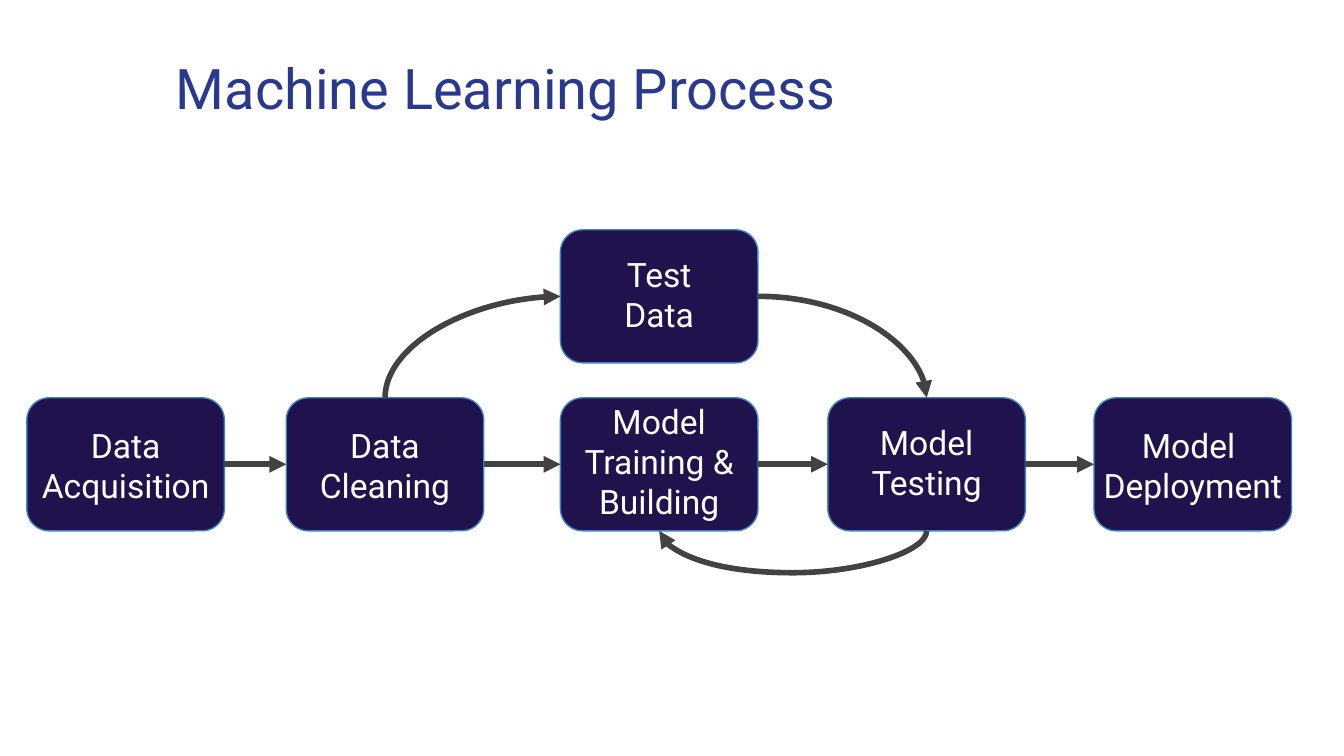
"""Build a slide that shows the machine learning process as a flow of boxes."""
from dataclasses import dataclass
from itertools import pairwise

from lxml.etree import SubElement
from pptx import Presentation
from pptx.dml.color import RGBColor
from pptx.enum.shapes import MSO_CONNECTOR, MSO_SHAPE
from pptx.enum.text import PP_ALIGN
from pptx.oxml.ns import qn
from pptx.shapes.autoshape import Shape
from pptx.shapes.connector import Connector
from pptx.util import Emu, Inches, Pt

NAVY = RGBColor(0x20, 0x12, 0x4D)
BLUE = RGBColor(0x3D, 0x85, 0xC6)
INDIGO = RGBColor(0x2A, 0x39, 0x90)
GRAY = RGBColor(0x42, 0x42, 0x42)
WHITE = RGBColor(0xFF, 0xFF, 0xFF)
FONT = "Roboto"

COLS = (0.2, 2.13, 4.17, 6.16, 8.14)
ROWS = (1.71, 2.96)
WIDE, HIGH = 1.47, 0.99
TOP, LEFT, BOTTOM, RIGHT = range(4)
THIN = Emu(600)


@dataclass(frozen=True)
class Step:
    col: int
    row: int
    lines: tuple[str, ...]
    drop: float = 0.1
    grow: float = 0

    def site(self, side: int) -> tuple[float, float]:
        """Return the middle of one side of the box."""
        dx, dy = ((0.5, 0), (0, 0.5), (0.5, 1), (1, 0.5))[side]
        return COLS[self.col] + dx * WIDE, ROWS[self.row] + dy * HIGH


@dataclass(frozen=True)
class Bend:
    start: tuple[float, float]
    end: tuple[float, float]
    turn: int
    kind: str = "curvedConnector2"
    bulge: float = 0


FLOW = (
    Step(0, 1, ("Data", "Acquisition ")),
    Step(1, 1, ("Data", "Cleaning")),
    Step(2, 1, ("Model", "Training &", "Building"), -0.08),
    Step(3, 1, ("Model", "Testing"), 0.08),
    Step(4, 1, ("Model ", "Deployment"), 0.1, 0.05),
)
TEST = Step(2, 0, ("Test", "Data"), 0.08)
STEPS = (*FLOW, TEST)
BENDS = (
    Bend(FLOW[3].site(BOTTOM), FLOW[2].site(BOTTOM), 90, "curvedConnector3", 396.88),
    Bend(FLOW[1].site(TOP), TEST.site(LEFT), 270),
    Bend(TEST.site(RIGHT), FLOW[3].site(TOP), 0),
)

deck = Presentation()
deck.slide_width, deck.slide_height = Inches(10), Emu(Inches(10) * 9 // 16)
slide = deck.slides.add_slide(deck.slide_layouts[6])
shapes = slide.shapes


def write(left: float, top: float, width: float, lines: tuple[str, ...],
          size: int, color: RGBColor, align: PP_ALIGN) -> None:
    """Add a text box with one paragraph for each line."""
    area = shapes.add_textbox(Inches(left), Inches(top), Inches(width), Inches(0.66))
    frame = area.text_frame
    frame.word_wrap = True
    frame.margin_left = frame.margin_right = Inches(0.1)
    frame.margin_top = frame.margin_bottom = Inches(0.1)
    for rank, line in enumerate(lines):
        para = frame.add_paragraph() if rank else frame.paragraphs[0]
        para.alignment = align
        run = para.add_run()
        run.text = line
        run.font.name, run.font.size = FONT, Pt(size)
        run.font.color.rgb = color


def draw_box(step: Step) -> Shape:
    """Add the rounded box of one step."""
    box = shapes.add_shape(MSO_SHAPE.ROUNDED_RECTANGLE, Inches(COLS[step.col]),
                           Inches(ROWS[step.row]), Inches(WIDE), Inches(HIGH))
    box.adjustments[0] = 0.167
    box.shadow.inherit = False
    box.fill.solid()
    box.fill.fore_color.rgb = NAVY
    box.line.color.rgb = BLUE
    box.line.width = Pt(0.75)
    return box


def style(link: Connector) -> None:
    """Give a connector its line and arrowhead."""
    link.line.color.rgb = GRAY
    link.line.width = Pt(3)
    props = link._element.spPr
    SubElement(props.find(qn("a:ln")), qn("a:tailEnd"), type="triangle")
    SubElement(props, qn("a:effectLst"))


def join(first: Shape, last: Shape) -> None:
    """Add a straight arrow between two boxes."""
    link = shapes.add_connector(MSO_CONNECTOR.STRAIGHT, 0, 0, 0, 0)
    link.begin_connect(first, RIGHT)
    link.end_connect(last, LEFT)
    style(link)


def curve(bend: Bend) -> None:
    """Add a curved arrow, turned about its centre."""
    (x1, y1), (x2, y2) = bend.start, bend.end
    width, height = Inches(abs(x2 - x1)), Inches(abs(y2 - y1))
    if bend.turn:
        width, height = height, width
    width = max(width, THIN)
    left = Inches((x1 + x2) / 2) - width // 2
    top = Inches((y1 + y2) / 2) - height // 2
    link = shapes.add_connector(MSO_CONNECTOR.CURVE, left, top,
                                left + width, top + height)
    props = link._element.spPr
    props.find(qn("a:xfrm")).set("rot", str(bend.turn * 60000))
    form = props.find(qn("a:prstGeom"))
    form.set("prst", bend.kind)
    if bend.bulge:
        guides = form.find(qn("a:avLst"))
        if guides is None:
            guides = SubElement(form, qn("a:avLst"))
        SubElement(guides, qn("a:gd"), name="adj1",
                   fmla=f"val {round(bend.bulge * 100000)}")
    style(link)


write(1.21, 0.3, 9.32, ("Machine Learning Process",), 30, INDIGO, PP_ALIGN.LEFT)
boxes = [draw_box(step) for step in STEPS]
for first, last in pairwise(boxes[:len(FLOW)]):
    join(first, last)
for bend in BENDS:
    curve(bend)
for step in STEPS:
    write(COLS[step.col] - step.grow, ROWS[step.row] + step.drop,
          WIDE + 2 * step.grow, step.lines, 18, WHITE, PP_ALIGN.CENTER)

deck.save("out.pptx")
